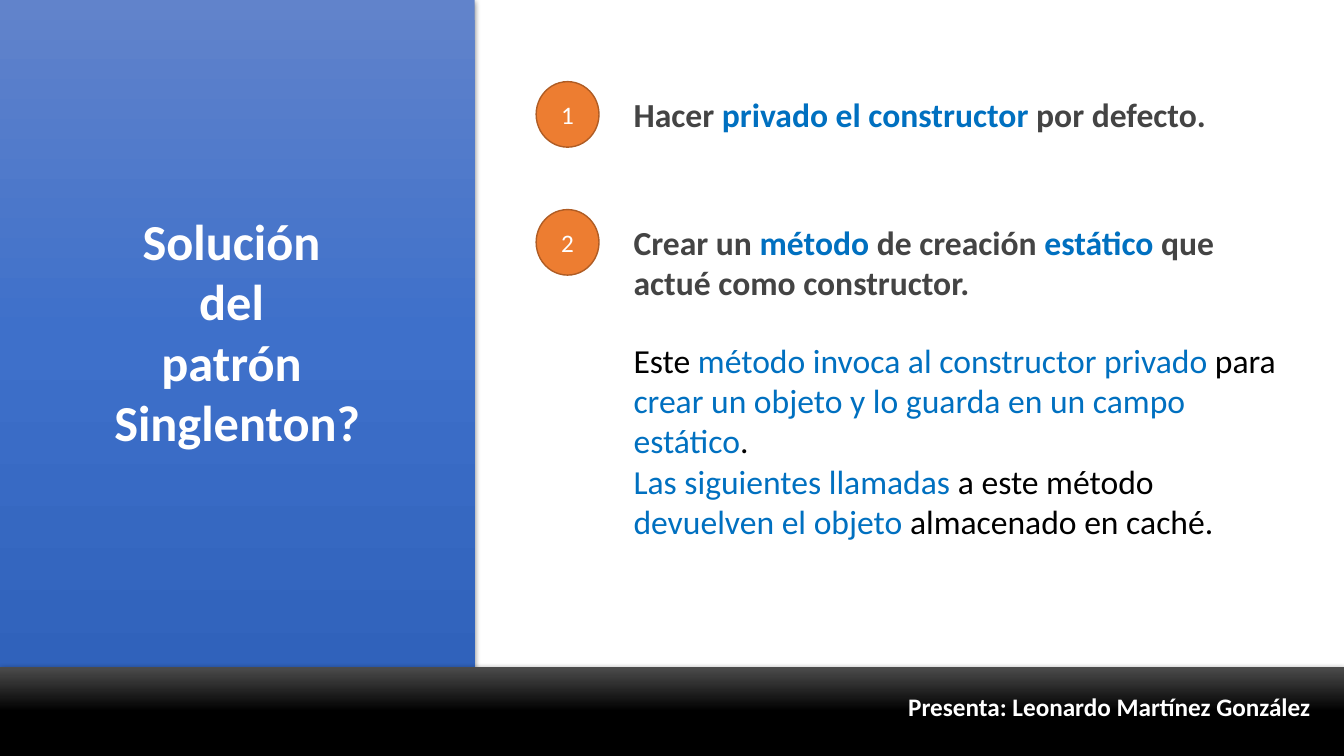
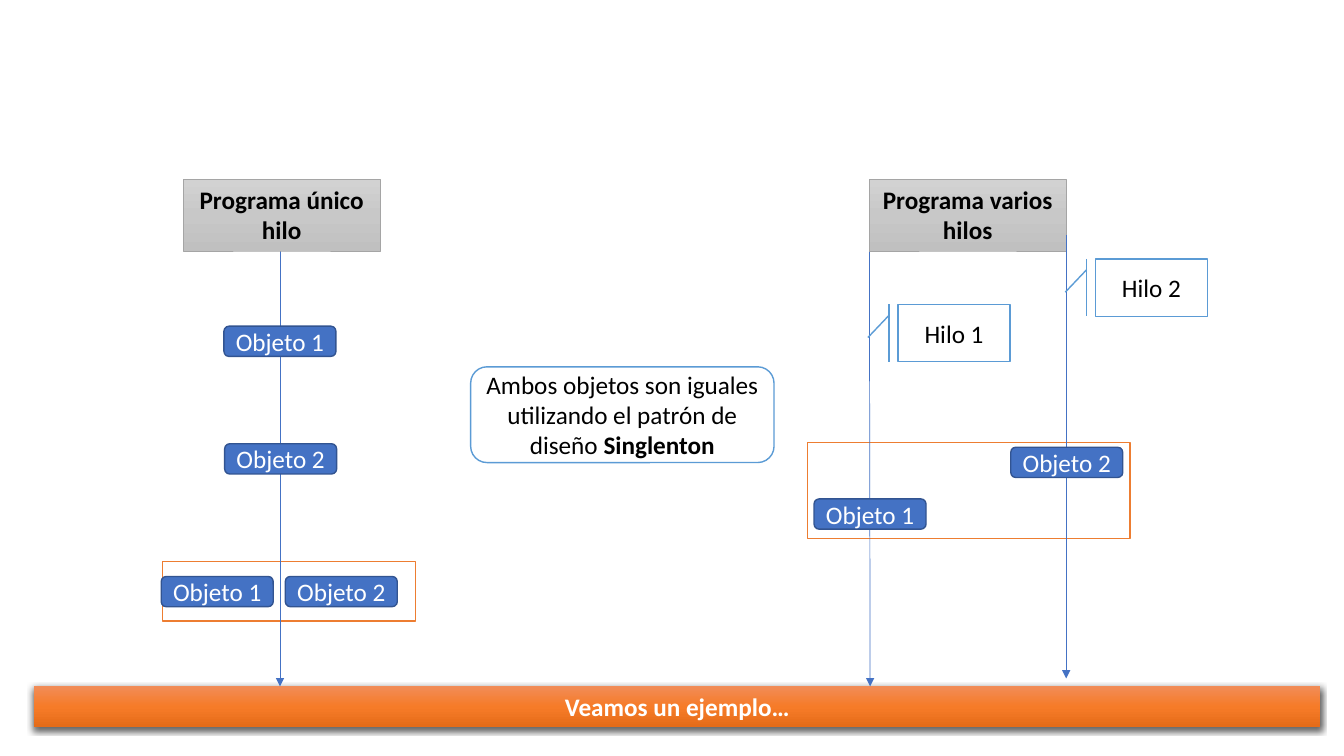
"""Build two slides on the Singlenton pattern: its solution and a thread diagram."""
from copy import deepcopy
from dataclasses import dataclass, replace
from typing import Any

from lxml import etree
from pptx import Presentation
from pptx import util as u
from pptx.dml.color import RGBColor
from pptx.enum import shapes, text
from pptx.oxml import ns

COLORS = {
    "white": "FFFFFF", "black": "000000", "grey": "444444", "accent": "0070C0",
    "orange": "ED7D31", "orange_edge": "AF5C24", "blue": "4472C4",
    "blue_edge": "325491", "sky": "5B9BD5", "silver": "A5A5A5",
}
GRADIENTS = {
    "panel": ("6183CB", "3E70CA", "3062BB"),
    "footer": ("4B4B4B", "000000", "000000"),
    "banner": ("F18C57", "F67B28", "E56C19"),
    "header": ("D2D2D2", "C8C8C8", "C0C0C0"),
}
FONT = "Calibri"
KIND = shapes.MSO_SHAPE
LEFT, CENTER, RIGHT = text.PP_ALIGN.LEFT, text.PP_ALIGN.CENTER, text.PP_ALIGN.RIGHT
STRIP = (24.5, 490.3, 918.7, 28.8)


@dataclass(frozen=True)
class Span:
    """A piece of text in one colour and weight."""
    words: str
    color: str = "white"
    bold: bool = False


Paragraphs = tuple[tuple[Span, ...], ...]


@dataclass(frozen=True)
class Style:
    """The look of a box; no kind means a plain text box."""
    kind: Any = None
    fill: str = ""
    gradient: str = ""
    line: str = ""
    weight: float = 1
    shadow: bool = False
    adjustments: tuple[float, ...] = ()
    size: float = 18
    align: Any = CENTER
    anchor: Any = text.MSO_ANCHOR.MIDDLE
    top_inset: float = 3.6


@dataclass(frozen=True)
class Box:
    """A styled box with its place in points and its paragraphs."""
    style: Style
    at: tuple[float, float, float, float]
    paragraphs: Paragraphs = ()


@dataclass(frozen=True)
class Arrow:
    """A downward thread arrow in points."""
    start: tuple[float, float]
    end: tuple[float, float]


TOP = text.MSO_ANCHOR.TOP
PANEL = Style(KIND.RECTANGLE, gradient="panel", shadow=True, size=36, anchor=TOP, top_inset=150)
FOOTER = Style(KIND.RECTANGLE, gradient="footer", shadow=True)
BANNER = Style(KIND.RECTANGLE, gradient="banner", shadow=True, anchor=TOP)
CREDIT = Style(align=RIGHT, anchor=TOP)
BODY = Style(size=24, align=LEFT, anchor=TOP)
NUMBER = Style(KIND.OVAL, "orange", line="orange_edge")
FRAME = Style(KIND.RECTANGLE, "white", line="orange")
HEADER = Style(KIND.RECTANGLE, gradient="header", line="silver", weight=0.5, anchor=TOP)
OBJECT = Style(KIND.ROUNDED_RECTANGLE, "blue", line="blue_edge")
REMARK = Style(KIND.ROUNDED_RECTANGULAR_CALLOUT, "white", line="sky",
               adjustments=(-0.03, -0.5, 0.17))
THREAD = replace(REMARK, kind=KIND.LINE_CALLOUT_1_BORDER_AND_ACCENT_BAR,
                 adjustments=(0.19, -0.08, 0.58, -0.27))


def rgb(name: str) -> RGBColor:
    """Return a named colour."""
    return RGBColor.from_string(COLORS[name])


def assign(target: Any, values: dict[str, Any]) -> None:
    """Set each named attribute on the target."""
    for name, value in values.items():
        setattr(target, name, value)


def paint_gradient(shape: Any, name: str) -> None:
    """Fill a shape with a three-stop gradient running downward."""
    shape.fill.gradient()
    shape.fill.gradient_angle = 270
    stops = shape.element.spPr.find(".//" + ns.qn("a:gsLst"))
    stops.append(deepcopy(stops[0]))
    for index, (stop, color) in enumerate(zip(shape.fill.gradient_stops, GRADIENTS[name])):
        stop.position = index / 2
        stop.color.rgb = RGBColor.from_string(color)


def cast_shadow(shape: Any) -> None:
    """Add a soft shadow below a shape."""
    effects = shape.element.spPr.find(ns.qn("a:effectLst"))
    shadow = etree.SubElement(effects, ns.qn("a:outerShdw"), blurRad=str(u.Pt(4.5)),
                              dist=str(u.Pt(1.5)), dir="5400000", algn="ctr", rotWithShape="0")
    color = etree.SubElement(shadow, ns.qn("a:srgbClr"), val=COLORS["black"])
    etree.SubElement(color, ns.qn("a:alpha"), val="63000")


def paint(shape: Any, style: Style) -> None:
    """Apply fill, outline, shadow and adjustments to a shape."""
    shape.shadow.inherit = False
    if style.gradient:
        paint_gradient(shape, style.gradient)
    else:
        shape.fill.solid()
        shape.fill.fore_color.rgb = rgb(style.fill)
    if style.line:
        shape.line.color.rgb = rgb(style.line)
        shape.line.width = u.Pt(style.weight)
    else:
        shape.line.fill.background()
    if style.shadow:
        cast_shadow(shape)
    for index, value in enumerate(style.adjustments):
        shape.adjustments[index] = value


def write(shape: Any, style: Style, paragraphs: Paragraphs) -> None:
    """Write paragraphs of spans into a shape."""
    frame = shape.text_frame
    assign(frame, {"word_wrap": True, "vertical_anchor": style.anchor,
                   "margin_top": u.Pt(style.top_inset)})
    for index, spans in enumerate(paragraphs):
        para = frame.add_paragraph() if index else frame.paragraphs[0]
        para.alignment = style.align
        for span in spans:
            run = para.add_run()
            run.text = span.words
            assign(run.font, {"name": FONT, "size": u.Pt(style.size), "bold": span.bold})
            run.font.color.rgb = rgb(span.color)


def draw_box(page: Any, box: Box) -> None:
    """Draw a shape or a text box."""
    place = [u.Pt(value) for value in box.at]
    if box.style.kind is None:
        shape = page.shapes.add_textbox(*place)
    else:
        shape = page.shapes.add_shape(box.style.kind, *place)
        paint(shape, box.style)
    if box.paragraphs:
        write(shape, box.style, box.paragraphs)


def draw_arrow(page: Any, arrow: Arrow) -> None:
    """Draw a thin line with a triangle at its end."""
    points = [u.Pt(value) for value in (*arrow.start, *arrow.end)]
    line = page.shapes.add_connector(shapes.MSO_CONNECTOR.STRAIGHT, *points)
    line.line.color.rgb = rgb("blue")
    line.line.width = u.Pt(0.5)
    outline = line.element.spPr.find(ns.qn("a:ln"))
    etree.SubElement(outline, ns.qn("a:tailEnd"), type="triangle")
    etree.SubElement(line.element.spPr, ns.qn("a:effectLst"))


def label(words: str, color: str = "white", bold: bool = False) -> Paragraphs:
    """Return a single paragraph with a single span."""
    return ((Span(words, color, bold),),)


def strong(*pieces: tuple[str, str]) -> Paragraphs:
    """Return one bold paragraph of coloured pieces."""
    return (tuple(Span(words, color, True) for words, color in pieces),)


def object_box(number: int, left: float, top: float) -> Box:
    """Return the box of a numbered object."""
    return Box(OBJECT, (left, top, 80, 21.6), label(f"Objeto {number}"))


def header_box(words: str, left: float) -> Box:
    """Return the heading of a program."""
    return Box(HEADER, (left, 128.2, 140.4, 51.1), label(words, "black", True))


def thread_box(number: int, left: float, top: float) -> Box:
    """Return the callout naming a thread."""
    return Box(THREAD, (left, top, 80, 41), label(f"Hilo {number}", "black"))


def solution_items() -> list[Box]:
    """Return the items of the solution slide."""
    title = ("Solución ", "del ", "patrón ", "Singlenton?")
    steps = (
        strong(("Hacer ", "grey"), ("privado el constructor ", "accent"), ("por defecto.", "grey")),
        strong(("Crear un ", "grey"), ("método ", "accent"), ("de creación ", "grey"),
               ("estático", "accent"), (" que actué como constructor.", "grey")),
    )
    details = (
        (Span("Este ", "black"), Span("método invoca al constructor privado ", "accent"),
         Span("para ", "black"),
         Span("crear un objeto y lo guarda en un campo estático", "accent"), Span(".", "black")),
        (Span("Las siguientes llamadas ", "accent"), Span("a este método ", "black"),
         Span("devuelven el objeto ", "accent"), Span("almacenado en caché.", "black")),
    )
    items = [
        Box(PANEL, (0, 0, 339, 482), tuple((Span(line, bold=True),) for line in title)),
        Box(FOOTER, (0, 476.6, 960, 63.4)),
        Box(CREDIT, STRIP, label("Presenta: Leonardo Martínez González", bold=True)),
    ]
    for index, (step, height) in enumerate(zip(steps, (36.4, 65.4))):
        top = 58.3 + index * 91.4
        items += [Box(NUMBER, (383, top, 44.9, 46.8), label(str(index + 1))),
                  Box(BODY, (445.5, top + 5, 445, height), step)]
    return items + [Box(BODY, (445.5, 239, 484.6, 152.7), details)]


def diagram_items() -> list[Box | Arrow]:
    """Return the items of the thread diagram, from back to front."""
    remark = ((Span("Ambos objetos son iguales utilizando el patrón de diseño ", "black"),
               Span("Singlenton", "black", True)),)
    return [
        Box(FRAME, (576.7, 316.1, 230.4, 68.4)),
        Box(FRAME, (115.9, 401, 180.7, 42.5)),
        Box(BANNER, STRIP, label("Veamos un ejemplo…", bold=True)),
        Arrow((200, 167.8), (200, 490.3)),
        header_box("Programa único hilo", 131),
        object_box(1, 160, 233),
        object_box(2, 160.5, 317),
        object_box(1, 115.2, 411.8),
        object_box(2, 203.8, 411.8),
        Box(REMARK, (336.2, 262, 216.7, 68.4), remark),
        Arrow((621, 167.8), (621.5, 490.3)),
        header_box("Programa varios hilos", 621),
        object_box(1, 581.5, 356.4),
        Arrow((761.6, 167.8), (761.6, 484.6)),
        object_box(2, 722, 319.5),
        thread_box(2, 782.5, 185),
        thread_box(1, 641.5, 217.4),
    ]


def main() -> None:
    """Build and save the deck."""
    deck = Presentation()
    assign(deck, {"slide_width": u.Pt(960), "slide_height": u.Pt(540)})
    for items in (solution_items(), diagram_items()):
        page = deck.slides.add_slide(deck.slide_layouts[6])
        for item in items:
            if isinstance(item, Arrow):
                draw_arrow(page, item)
            else:
                draw_box(page, item)
    deck.save("out.pptx")


if __name__ == "__main__":
    main()
